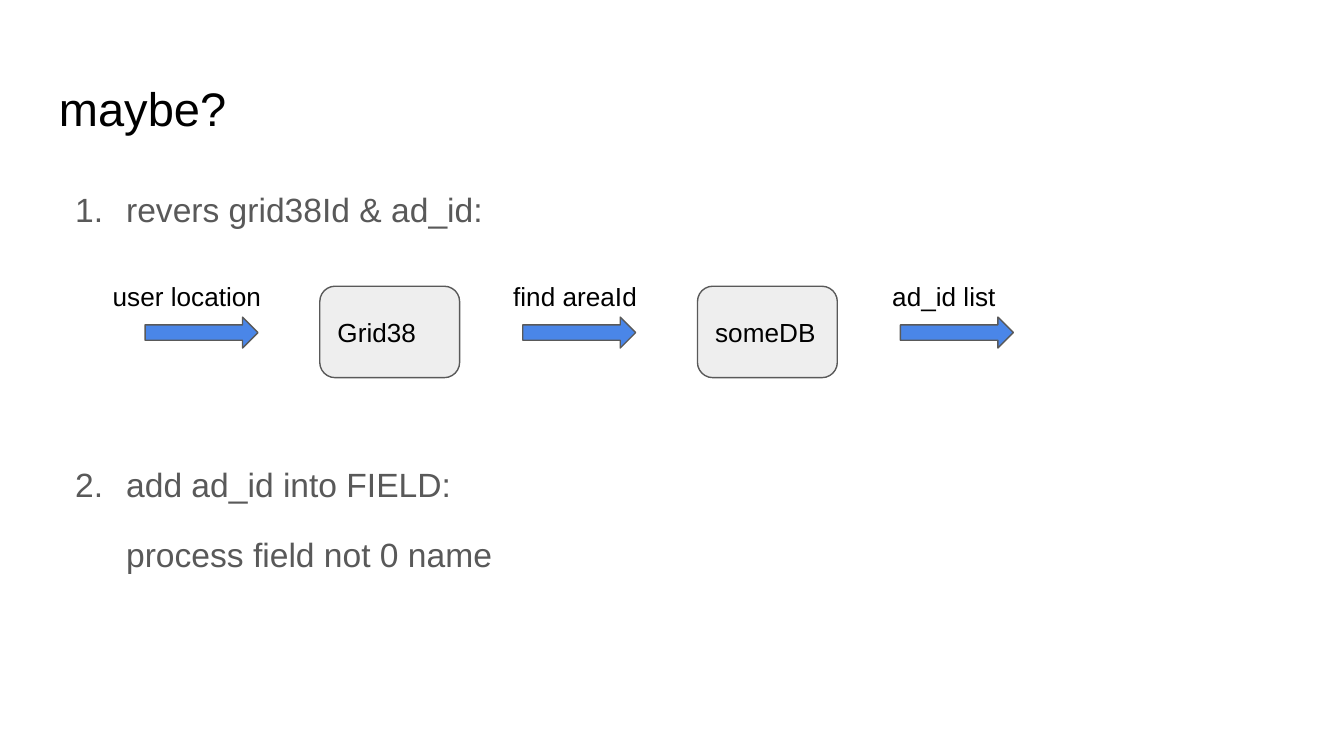
from lxml import etree
from pptx import Presentation
from pptx.dml.color import RGBColor
from pptx.enum import shapes, text
from pptx.oxml.ns import qn
from pptx.util import Inches, Pt

# Content
TITLE = "maybe?"
# text, numbered, space before in points (the wide gap holds the flow)
ITEMS = [
    ("revers grid38Id & ad_id:", True, 0),
    ("add ad_id into FIELD:", True, 122.5),
    ("process field not 0 name", False, 12.5),
]
NODES = ["Grid38", "someDB"]
LABELS = [("user location", 0.74), ("find areaId", 3.72), ("ad_id list", 6.54)]

THEME = {
    "font": "Arial", "ink": "000000", "gray": "595959",
    "node": "EEEEEE", "arrow": "4A86E8",
    "title": 25.2, "body": 18, "label": 14, "line": 0.75,
}
STEP = 2.81  # from one flow stage to the next

# Widescreen page, 16 to 9
deck = Presentation()
deck.slide_width = Inches(10)
deck.slide_height = Inches(10 * 9 / 16)
slide = deck.slides.add_slide(deck.slide_layouts[6])


def color(name):
    return RGBColor.from_string(THEME[name])


def style(par, size, ink="ink"):
    par.alignment = text.PP_ALIGN.LEFT
    par.font.name = THEME["font"]
    par.font.size = Pt(THEME[size])
    par.font.color.rgb = color(ink)


def frame(shape, anchor=text.MSO_ANCHOR.TOP):
    box = shape.text_frame
    box.word_wrap = True
    box.vertical_anchor = anchor
    box.margin_left = box.margin_right = Inches(0.1)
    box.margin_top = box.margin_bottom = Inches(0.1)
    return box


def add_text(words, area, size):
    box = frame(slide.shapes.add_textbox(*map(Inches, area)))
    box.text = words
    style(box.paragraphs[0], size)


def add_shape(kind, area, fill):
    shape = slide.shapes.add_shape(kind, *map(Inches, area))
    shape.shadow.inherit = False
    shape.fill.solid()
    shape.fill.fore_color.rgb = color(fill)
    shape.line.color.rgb = color("gray")
    shape.line.width = Pt(THEME["line"])
    return shape


# Title
add_text(TITLE, (0.34, 0.49, 9.32, 0.63), "title")

# Numbered list
body = frame(slide.shapes.add_textbox(*map(Inches, (0.34, 1.26, 9.32, 3.74))))
for i, (words, marked, gap) in enumerate(ITEMS):
    par = body.paragraphs[0] if i == 0 else body.add_paragraph()
    par.text = words
    par.line_spacing = 1.15
    par.space_before = Pt(gap)
    props = par._p.get_or_add_pPr()
    props.set("marL", str(Inches(0.5)))
    props.set("indent", str(Inches(-0.38 if marked else 0)))
    if marked:
        etree.SubElement(props, qn("a:buAutoNum"), type="arabicPeriod")
    style(par, "body", "gray")

# Flow nodes
for i, name in enumerate(NODES):
    node = add_shape(shapes.MSO_SHAPE.ROUNDED_RECTANGLE,
                     (2.38 + i * STEP, 2.13, 1.04, 0.68), "node")
    box = frame(node, text.MSO_ANCHOR.MIDDLE)
    box.text = name
    style(box.paragraphs[0], "label")

# Flow arrows with their labels
for i, (words, left) in enumerate(LABELS):
    add_shape(shapes.MSO_SHAPE.RIGHT_ARROW,
              (1.08 + i * STEP, 2.36, 0.84, 0.23), "arrow")
    add_text(words, (left, 1.99, 1.88, 0.44), "label")

deck.save("out.pptx")
